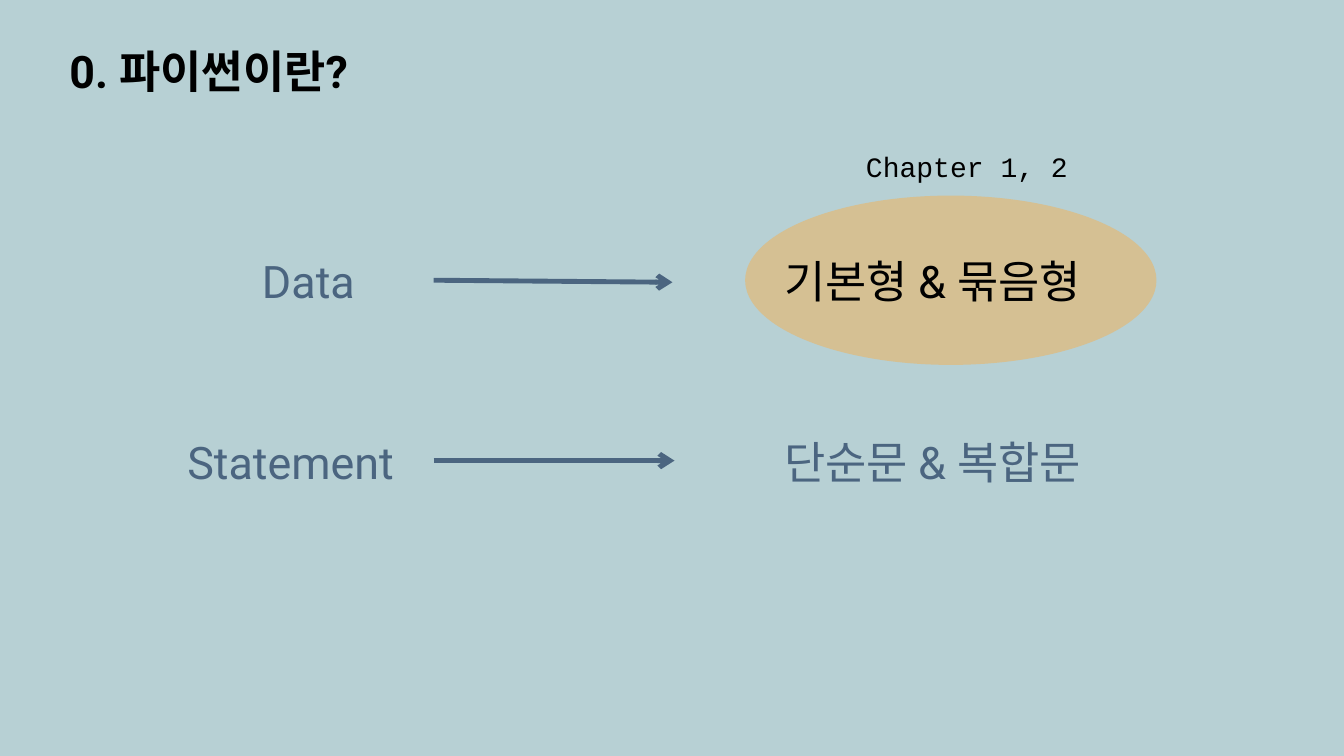
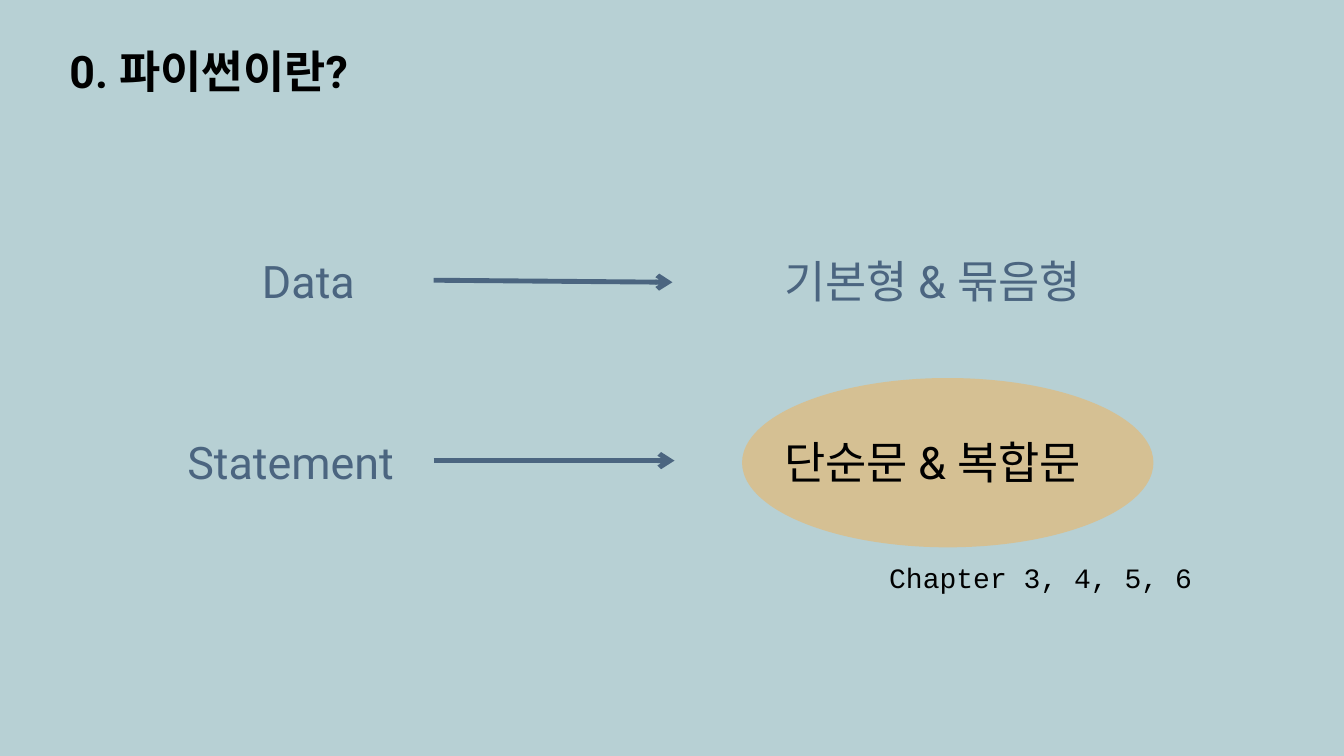
from pptx import Presentation
from pptx.dml.color import RGBColor
from pptx.enum.shapes import MSO_CONNECTOR, MSO_SHAPE
from pptx.oxml.ns import qn
from pptx.util import Inches, Pt
from lxml.etree import SubElement

COLORS = {"background": "B7D0D4", "muted": "4B6580", "ink": "000000", "highlight": "F8AE4B"}
BODY_FONT, CHAPTER_FONT = "Roboto", "Courier New"
TITLE = "0. 파이썬이란?"

# Content: each concept leads to its kinds, on one row
CONCEPTS = [
    {"term": "Data", "term_box": (2.5, 2.21), "kinds": "기본형 & 묶음형", "arrow_end": (6.67, 0.02)},
    {"term": "Statement", "term_box": (1.76, 2.54), "kinds": "단순문 & 복합문", "arrow_end": (6.69, 0)},
]
# One slide per highlighted concept: ellipse position, chapter note and its box
HIGHLIGHTS = [
    {"row": 0, "ellipse": (7.39, 1.94), "chapter": "Chapter 1, 2", "note": (8.49, 1.43, 2.48)},
    {"row": 1, "ellipse": (7.36, 3.75), "chapter": "Chapter 3, 4, 5, 6", "note": (8.72, 5.51, 3.85)},
]

# Layout in inches
ROW_TOP, ROW_STEP, LINE_HEIGHT = 2.47, 1.79, 0.64
ARROW_LEFT, ARROW_DROP = 4.3, 0.31
KINDS_LEFT, KINDS_WIDTH = 7.68, 4.08
ELLIPSE_SIZE = (4.08, 1.68)


def color(name):
    return RGBColor.from_string(COLORS[name])


def add_text(slide, text, left, top, width, height=LINE_HEIGHT, *,
             size=32, font=BODY_FONT, fill="muted", bold=False):
    frame = slide.shapes.add_textbox(*map(Inches, (left, top, width, height))).text_frame
    frame.word_wrap = True
    run = frame.paragraphs[0].add_run()
    run.text = text
    run.font.size, run.font.name, run.font.bold = Pt(size), font, bold
    run.font.color.rgb = color(fill)


def add_arrow(slide, *ends):
    arrow = slide.shapes.add_connector(MSO_CONNECTOR.STRAIGHT, *map(Inches, ends))
    arrow.line.color.rgb = color("muted")
    arrow.line.width = Pt(3.5)
    SubElement(arrow.line._get_or_add_ln(), qn("a:tailEnd"), type="arrow")
    SubElement(arrow._element.spPr, qn("a:effectLst"))


def add_highlight(slide, left, top):
    ellipse = slide.shapes.add_shape(MSO_SHAPE.OVAL, *map(Inches, (left, top, *ELLIPSE_SIZE)))
    ellipse.shadow.inherit = False
    ellipse.line.fill.background()
    ellipse.fill.solid()
    ellipse.fill.fore_color.rgb = color("highlight")
    tint = ellipse._element.spPr.find(f"{qn('a:solidFill')}/{qn('a:srgbClr')}")
    SubElement(tint, qn("a:alpha"), val="47000")


def build_slide(prs, highlight):
    slide = prs.slides.add_slide(prs.slide_layouts[6])
    add_text(slide, TITLE, 0.59, 0.38, 9.47, fill="ink", bold=True)
    add_highlight(slide, *highlight["ellipse"])

    # Concept rows
    for row, concept in enumerate(CONCEPTS):
        top = ROW_TOP + row * ROW_STEP
        term_left, term_width = concept["term_box"]
        add_text(slide, concept["term"], term_left, top, term_width)
        arrow_right, slope = concept["arrow_end"]
        arrow_top = top + ARROW_DROP
        add_arrow(slide, ARROW_LEFT, arrow_top, arrow_right, arrow_top + slope)
        add_text(slide, concept["kinds"], KINDS_LEFT, top, KINDS_WIDTH,
                 fill="ink" if row == highlight["row"] else "muted")

    # Chapter note
    add_text(slide, highlight["chapter"], *highlight["note"], 0.44,
             size=20, font=CHAPTER_FONT, fill="ink")


def main():
    prs = Presentation()
    prs.slide_width, prs.slide_height = Inches(13.33), Inches(7.5)
    background = prs.slide_master.background.fill
    background.solid()
    background.fore_color.rgb = color("background")
    for highlight in HIGHLIGHTS:
        build_slide(prs, highlight)
    prs.save("out.pptx")


if __name__ == "__main__":
    main()
